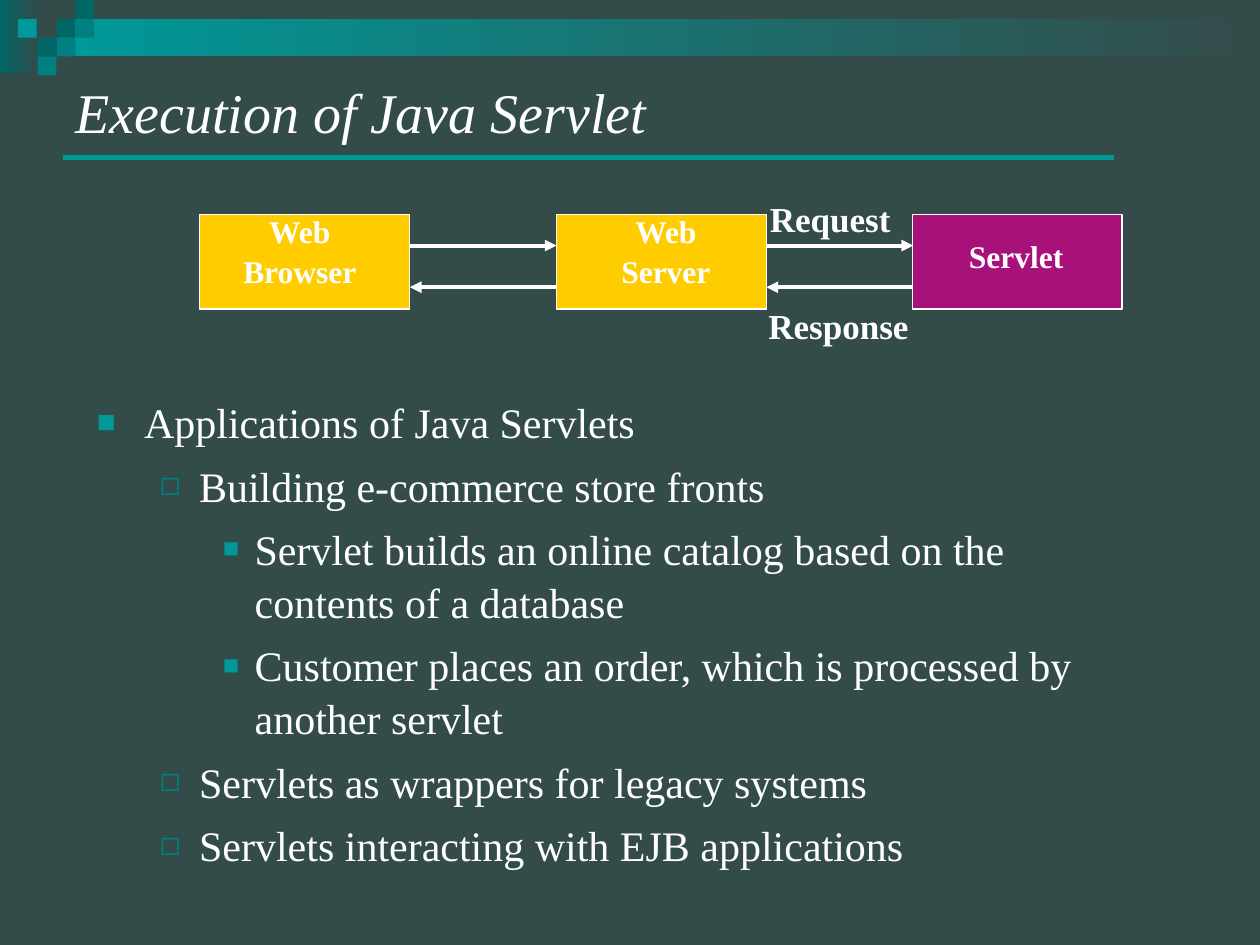
import pptx
import pptx.util
import pptx.dml.color
import pptx.enum.shapes
import pptx.enum.text
import pptx.oxml.ns
from dataclasses import dataclass
from lxml import etree

Cm = pptx.util.Cm
Pt = pptx.util.Pt
ALIGN = pptx.enum.text.PP_ALIGN
FONT = "Times New Roman"
WHITE, BACK, TEAL, MID, DARK = "FFFFFF", "334B49", "009999", "008080", "006666"
GOLD, PLUM = "FFCC00", "A9117A"


@dataclass
class Box:
    x: float
    y: float
    w: float
    h: float
    fill: str
    fade: str = ""
    edge: str = ""


@dataclass
class Label:
    x: float
    y: float
    w: float
    h: float
    lines: list[str]
    size: int = 18
    align: int = ALIGN.CENTER


@dataclass
class Wire:
    x: float
    y: float
    end: float
    tint: str = WHITE
    width: float = 2.24
    tip: str = ""


@dataclass
class Level:
    left: float
    hang: float
    mark: str
    tint: str
    scale: int


def tone(code: str) -> pptx.dml.color.RGBColor:
    return pptx.dml.color.RGBColor.from_string(code)


def place(shape, x: float, y: float, w: float, h: float) -> None:
    shape.left, shape.top, shape.width, shape.height = Cm(x), Cm(y), Cm(w), Cm(h)


def node(host, tag: str, **attrs: str):
    return etree.SubElement(host, pptx.oxml.ns.qn(tag), attrs)


def write(para, text: str, size: int, bold: bool = False, slant: bool = False) -> None:
    run = para.add_run()
    run.text = text
    font = run.font
    font.name, font.size, font.bold, font.italic = FONT, Pt(size), bold, slant
    font.color.rgb = tone(WHITE)


def draw_box(shapes, box: Box) -> None:
    shape = shapes.add_shape(pptx.enum.shapes.MSO_SHAPE.RECTANGLE,
                             Cm(box.x), Cm(box.y), Cm(box.w), Cm(box.h))
    shape.shadow.inherit = False
    if box.fade:
        shape.fill.gradient()
        shape.fill.gradient_angle = 0
        for stop, code in zip(shape.fill.gradient_stops, (box.fill, box.fade)):
            stop.color.rgb = tone(code)
    else:
        shape.fill.solid()
        shape.fill.fore_color.rgb = tone(box.fill)
    if box.edge:
        shape.line.color.rgb = tone(box.edge)
        shape.line.width = Pt(0.74)
    else:
        shape.line.fill.background()


def draw_label(shapes, label: Label) -> None:
    shape = shapes.add_textbox(Cm(label.x), Cm(label.y), Cm(label.w), Cm(label.h))
    frame = shape.text_frame
    frame.word_wrap = False
    frame.auto_size = pptx.enum.text.MSO_AUTO_SIZE.SHAPE_TO_FIT_TEXT
    for spot, text in enumerate(label.lines):
        para = frame.add_paragraph() if spot else frame.paragraphs[0]
        para.alignment = label.align
        para.line_spacing = 1.05
        write(para, text, label.size, bold=True)


def draw_wire(shapes, wire: Wire) -> None:
    link = shapes.add_connector(pptx.enum.shapes.MSO_CONNECTOR.STRAIGHT,
                                Cm(wire.x), Cm(wire.y), Cm(wire.end), Cm(wire.y))
    link.line.color.rgb = tone(wire.tint)
    link.line.width = Pt(wire.width)
    if wire.tip:
        node(link.line._get_or_add_ln(), wire.tip, type="triangle")
    node(link._element.spPr, "a:effectLst")


def add_point(para, rank: int, text: str) -> None:
    level = LEVELS[rank]
    para.level = rank
    para.space_before = Pt(6)
    para.line_spacing = 1.05
    props = para._p.get_or_add_pPr()
    props.set("marL", str(Cm(level.left)))
    props.set("indent", str(-Cm(level.hang)))
    node(node(props, "a:buClr"), "a:srgbClr", val=level.tint)
    node(props, "a:buSzPct", val=str(level.scale * 1000))
    node(props, "a:buFont", typeface=FONT)
    node(props, "a:buChar", char=level.mark)
    write(para, text, 24)


LEVELS = [
    Level(0.95, 0.95, "■", TEAL, 75),
    Level(2.06, 0.79, "◻", MID, 80),
    Level(3.18, 0.64, "■", TEAL, 65),
]
POINTS = [
    (0, "Applications of Java Servlets"),
    (1, "Building e-commerce store fronts"),
    (2, "Servlet builds an online catalog based on the contents of a database"),
    (2, "Customer places an order, which is processed by another servlet"),
    (1, "Servlets as wrappers for legacy systems"),
    (1, "Servlets interacting with EJB applications"),
]
SIDE = 0.38
TILES = [(3, 1, DARK), (4, 0, DARK), (4, 1, MID), (2, 2, DARK),
         (0.95, 1, TEAL), (3, 2, MID), (2, 3, MID)]
BOXES = [
    Box(0, 0, 0.79, 1.47, DARK, fade=BACK),
    Box(1.14, 0.38, 24.26, 0.76, TEAL, fade=BACK),
    *[Box(col * SIDE, row * SIDE, SIDE, SIDE, fill) for col, row, fill in TILES],
    *[Box(x, 4.32, 4.23, 1.91, fill, edge=WHITE)
      for x, fill in ((4.02, GOLD), (11.22, GOLD), (18.39, PLUM))],
]
LABELS = [
    Label(4.65, 4.11, 2.79, 1.78, ["Web", "Browser"]),
    Label(12.27, 4.11, 2.31, 1.78, ["Web", "Server"]),
    Label(19.28, 4.62, 2.41, 1.02, ["Servlet"]),
    Label(15.27, 3.81, 2.95, 1.12, ["Request"], 20, ALIGN.LEFT),
    Label(15.24, 5.97, 3.33, 1.12, ["Response"], 20, ALIGN.LEFT),
]
WIRES = [
    Wire(1.27, 3.18, 22.45, TEAL, 2.75),
    *[Wire(x, y, x + 2.96, tip=tip)
      for y, tip in ((4.95, "a:tailEnd"), (5.79, "a:headEnd"))
      for x in (8.26, 15.45)],
]

deck = pptx.Presentation()
deck.slide_width, deck.slide_height = Cm(25.4), Cm(19.05)
slide = deck.slides.add_slide(deck.slide_layouts[1])
slide.background.fill.solid()
slide.background.fill.fore_color.rgb = tone(BACK)

title, body = slide.placeholders
place(title, 1.27, 1.07, 21.59, 2.34)
place(body, 1.7, 7.82, 21.59, 10.59)
for holder in (title, body):
    holder.text_frame.auto_size = pptx.enum.text.MSO_AUTO_SIZE.NONE
    holder.text_frame.word_wrap = True
title.text_frame.vertical_anchor = pptx.enum.text.MSO_ANCHOR.MIDDLE
head = title.text_frame.paragraphs[0]
head.alignment = ALIGN.LEFT
write(head, "Execution of Java Servlet", 32, slant=True)
for spot, (rank, text) in enumerate(POINTS):
    frame = body.text_frame
    add_point(frame.add_paragraph() if spot else frame.paragraphs[0], rank, text)

for box in BOXES:
    draw_box(slide.shapes, box)
for wire in WIRES:
    draw_wire(slide.shapes, wire)
for label in LABELS:
    draw_label(slide.shapes, label)

deck.save("out.pptx")
